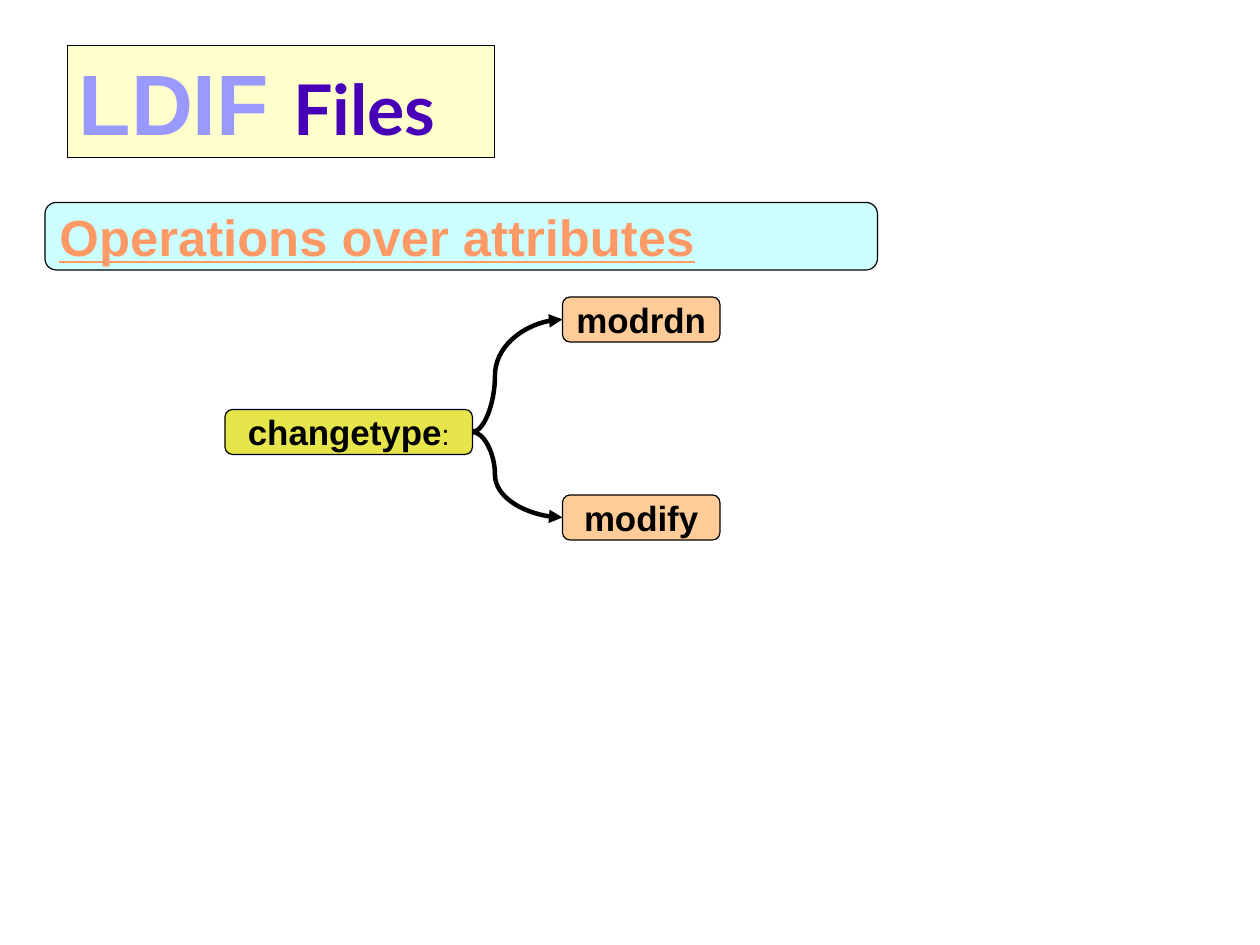
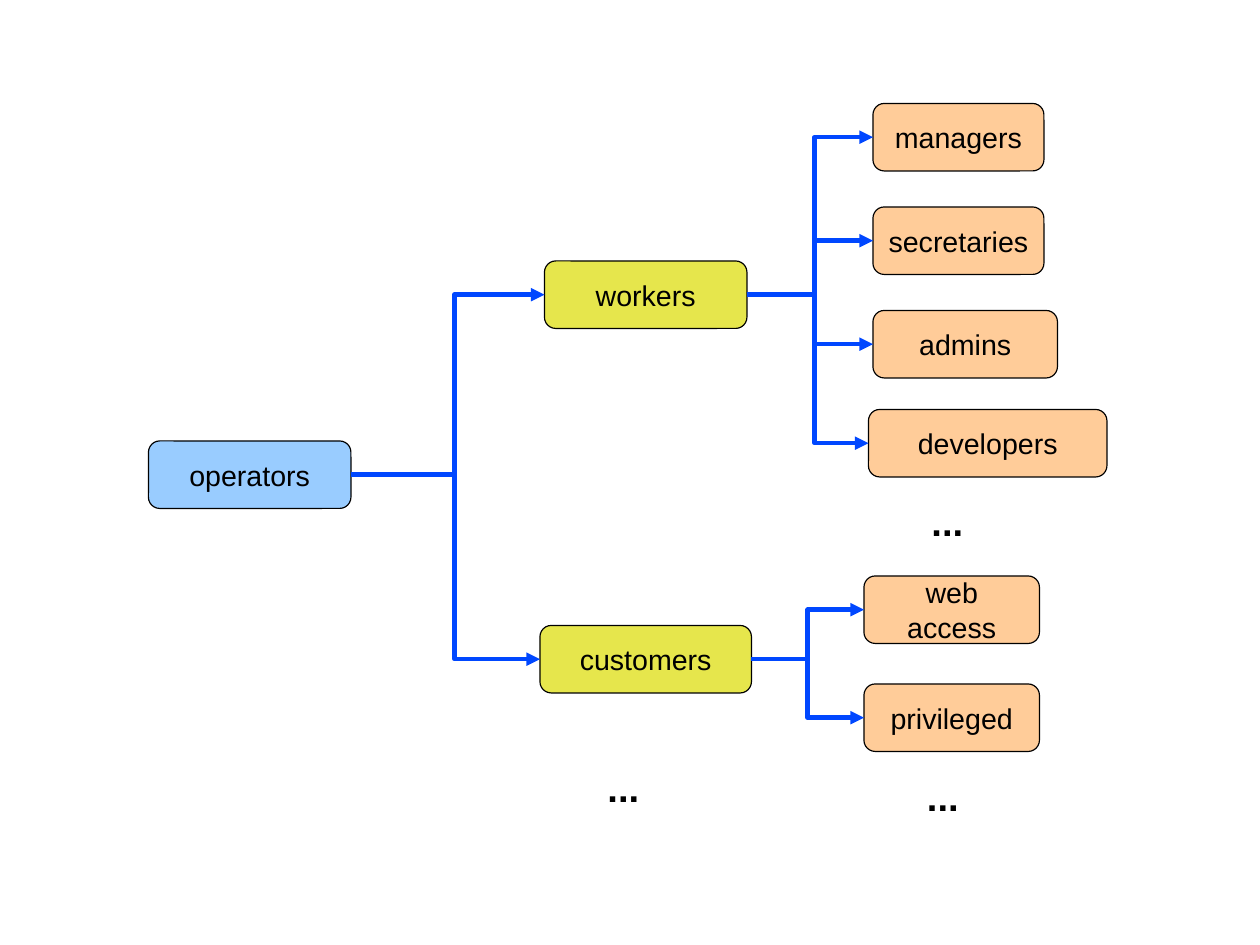
from lxml import etree
from pptx import Presentation
from pptx.dml.color import RGBColor
from pptx.enum.shapes import MSO_CONNECTOR, MSO_SHAPE
from pptx.enum.text import MSO_ANCHOR, MSO_AUTO_SIZE, PP_ALIGN
from pptx.oxml.ns import qn
from pptx.util import Cm, Pt

ROUNDED = MSO_SHAPE.ROUNDED_RECTANGLE
ELBOW, CURVE = MSO_CONNECTOR.ELBOW, MSO_CONNECTOR.CURVE
LEFT, CENTER = PP_ALIGN.LEFT, PP_ALIGN.CENTER
MIDDLE, TOP = MSO_ANCHOR.MIDDLE, MSO_ANCHOR.TOP
FIXED, GROW = MSO_AUTO_SIZE.NONE, MSO_AUTO_SIZE.SHAPE_TO_FIT_TEXT
LEFT_SITE, RIGHT_SITE = 1, 3
TITLE_ONLY, BLANK = 5, 6

BLACK = RGBColor(0x00, 0x00, 0x00)
CREAM = RGBColor(0xFF, 0xFF, 0xCC)
AQUA = RGBColor(0xCC, 0xFF, 0xFF)
LIME = RGBColor(0xE6, 0xE6, 0x4C)
PEACH = RGBColor(0xFF, 0xCC, 0x99)
SKY = RGBColor(0x99, 0xCC, 0xFF)
LILAC = RGBColor(0x99, 0x99, 0xFF)
VIOLET = RGBColor(0x47, 0x00, 0xB8)
CORAL = RGBColor(0xFF, 0x99, 0x66)
BLUE = RGBColor(0x00, 0x47, 0xFF)


def write(p, text, size=18, font="Arial", color=BLACK, bold=False, underline=False):
    r = p.add_run()
    r.text = text
    r.font.size = Pt(size)
    r.font.name = font
    r.font.color.rgb = color
    r.font.bold = bold
    r.font.underline = underline


class Deck:
    def __init__(self, width, height):
        self.prs = Presentation()
        self.prs.slide_width, self.prs.slide_height = Cm(width), Cm(height)
        self.s = None

    def slide(self, layout):
        self.s = self.prs.slides.add_slide(self.prs.slide_layouts[layout])

    def frame(self, sp, align, anchor=MIDDLE, inset=(0.25, 0.13), auto_size=FIXED):
        tf = sp.text_frame
        tf.word_wrap = True
        tf.auto_size = auto_size
        tf.vertical_anchor = anchor
        tf.margin_left = tf.margin_right = Cm(inset[0])
        tf.margin_top = tf.margin_bottom = Cm(inset[1])
        p = tf.paragraphs[0]
        p.alignment = align
        return p

    def paint(self, sp, fill):
        sp.fill.solid()
        sp.fill.fore_color.rgb = fill
        sp.line.color.rgb = BLACK
        sp.line.width = Pt(0)

    def title(self, x, y, w, h, fill):
        sp = self.s.shapes.title
        sp.left, sp.top, sp.width, sp.height = Cm(x), Cm(y), Cm(w), Cm(h)
        self.paint(sp, fill)
        return self.frame(sp, LEFT)

    def box(self, x, y, w, h, fill, text, align=CENTER, **fmt):
        sp = self.s.shapes.add_shape(ROUNDED, Cm(x), Cm(y), Cm(w), Cm(h))
        sp.adjustments[0] = 0.167
        sp.shadow.inherit = False
        self.paint(sp, fill)
        write(self.frame(sp, align), text, **fmt)
        return sp

    def dots(self, x, y):
        sp = self.s.shapes.add_textbox(Cm(x), Cm(y), Cm(1.5), Cm(1.3))
        p = self.frame(sp, LEFT, TOP, (0.3, 0.18), GROW)
        write(p, "...", size=24, bold=True)

    def arrow(self, kind, start, end, bend, color):
        x1, x2 = start.left + start.width, end.left
        y1, y2 = (sp.top + sp.height // 2 for sp in (start, end))
        sp = self.s.shapes.add_connector(kind, x1, y1, x2, y2)
        sp.begin_connect(start, RIGHT_SITE)
        sp.end_connect(end, LEFT_SITE)
        sp.line.color.rgb = color
        sp.line.width = Pt(2.83)
        spPr = sp._element.spPr
        guides = spPr.find(qn("a:prstGeom")).get_or_add_avLst()
        ratio = round((Cm(bend) - x1) / (x2 - x1) * 100000)
        etree.SubElement(guides, qn("a:gd"), name="adj1", fmla=f"val {ratio}")
        etree.SubElement(spPr.find(qn("a:ln")), qn("a:tailEnd"), type="triangle")
        etree.SubElement(spPr, qn("a:effectLst"))


def attribute_operations(deck):
    deck.slide(TITLE_ONLY)
    p = deck.title(1.5, 1, 9.5, 2.5, CREAM)
    write(p, "LDIF ", size=54, color=LILAC, bold=True)
    write(p, "Files", size=44, font="Lato", color=VIOLET, bold=True)
    deck.box(1, 4.5, 18.5, 1.5, AQUA, "Operations over attributes", LEFT,
             size=32, color=CORAL, bold=True, underline=True)
    change = deck.box(5, 9.1, 5.5, 1, LIME, "changetype", size=22, bold=True)
    write(change.text_frame.paragraphs[0], ":")
    for text, y in (("modrdn", 6.6), ("modify", 11)):
        option = deck.box(12.5, y, 3.5, 1, PEACH, text, size=22, bold=True)
        deck.arrow(CURVE, change, option, 11, BLACK)


def operator_tree(deck):
    height = 1.5
    branches = (
        ("workers", 12.1, 5.8, 4.5, 18.1, (
            ("managers", 19.4, 2.3, 3.8),
            ("secretaries", 19.4, 4.6, 3.8),
            ("admins", 19.4, 6.9, 4.1),
            ("developers", 19.3, 9.1, 5.3))),
        ("customers", 12, 13.9, 4.7, 17.95, (
            ("web access", 19.2, 12.8, 3.9),
            ("privileged", 19.2, 15.2, 3.9))),
    )
    deck.slide(BLANK)
    root = deck.box(3.3, 9.8, 4.5, height, SKY, "operators")
    for text, x, y, w, bend, leaves in branches:
        branch = deck.box(x, y, w, height, LIME, text)
        deck.arrow(ELBOW, root, branch, 10.1, BLUE)
        for leaf_text, leaf_x, leaf_y, leaf_w in leaves:
            leaf = deck.box(leaf_x, leaf_y, leaf_w, height, PEACH, leaf_text)
            deck.arrow(ELBOW, branch, leaf, bend, BLUE)
    for x, y in ((13.2, 16.8), (20.3, 17), (20.4, 10.9)):
        deck.dots(x, y)


def main():
    deck = Deck(28, 21)
    attribute_operations(deck)
    operator_tree(deck)
    deck.prs.save("out.pptx")


if __name__ == "__main__":
    main()
